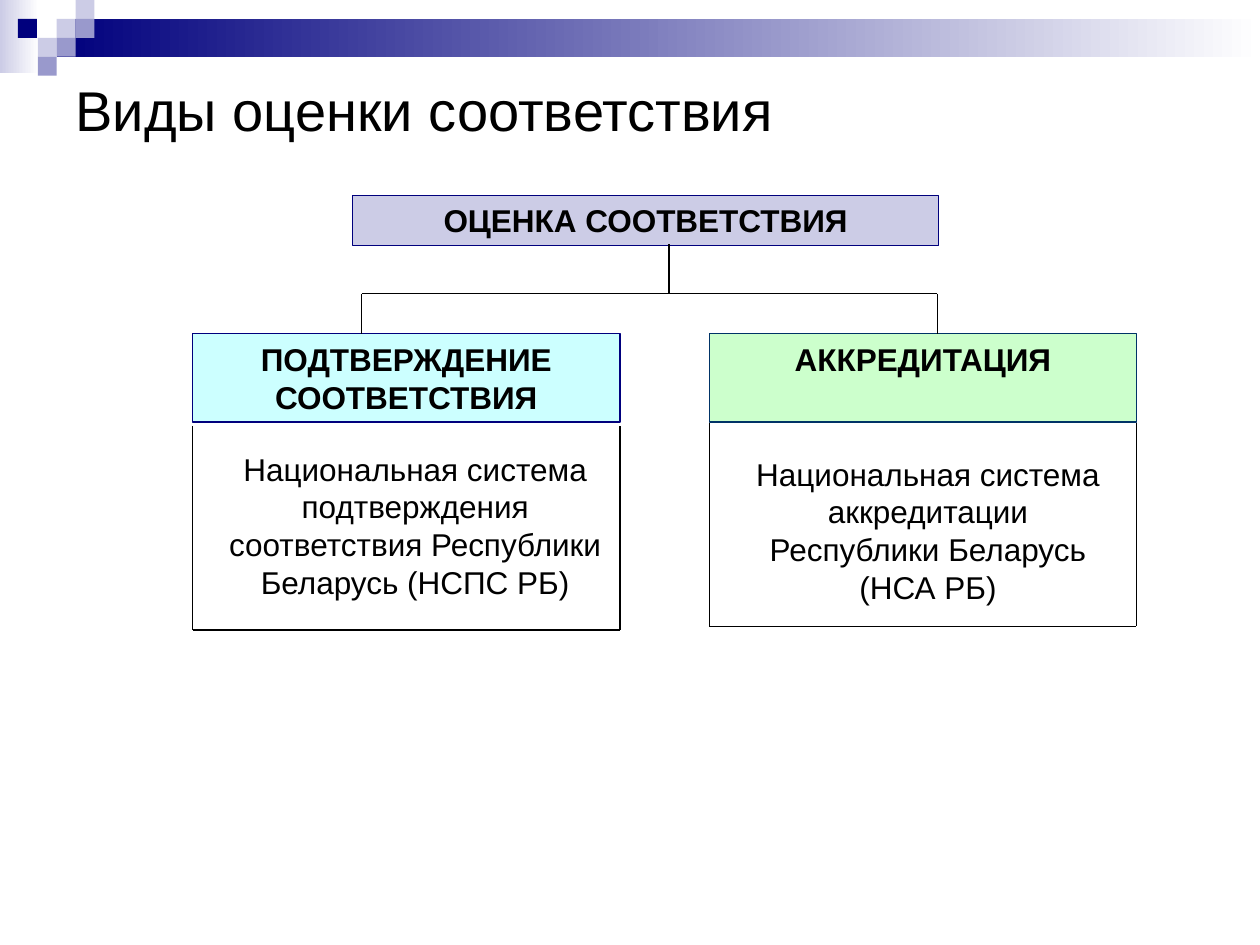
from pptx import Presentation
from pptx.dml.color import RGBColor
from pptx.enum.shapes import MSO_CONNECTOR, MSO_SHAPE
from pptx.enum.text import MSO_ANCHOR, PP_ALIGN
from pptx.oxml.ns import qn
from pptx.util import Inches, Pt
from lxml import etree

RECTANGLE = MSO_SHAPE.RECTANGLE
STRAIGHT = MSO_CONNECTOR.STRAIGHT
TOP, MIDDLE = MSO_ANCHOR.TOP, MSO_ANCHOR.MIDDLE
LEFT, CENTER = PP_ALIGN.LEFT, PP_ALIGN.CENTER

NAVY = RGBColor(0x00, 0x00, 0x7D)
TEAL = RGBColor(0x00, 0x33, 0x66)
LAVENDER = RGBColor(0xCC, 0xCC, 0xE6)
VIOLET = RGBColor(0x99, 0x99, 0xCC)
CYAN = RGBColor(0xCC, 0xFF, 0xFF)
GREEN = RGBColor(0xCC, 0xFF, 0xCC)
WHITE = RGBColor(0xFF, 0xFF, 0xFF)
BLACK = RGBColor(0x00, 0x00, 0x00)
LINE_WIDTH = Pt(0.74)

deck = Presentation()
deck.slide_width, deck.slide_height = Inches(10), Inches(7.5)
page = deck.slides.add_slide(deck.slide_layouts[5])


def add_rectangle(left, top, width, height):
    box = page.shapes.add_shape(RECTANGLE, *map(Inches, (left, top, width, height)))
    box.shadow.inherit = False
    box.line.fill.background()
    return box


def write(box, text, size, bold=False, align=CENTER, anchor=TOP):
    frame = box.text_frame
    frame.word_wrap = True
    frame.vertical_anchor = anchor
    para = frame.paragraphs[0]
    para.alignment = align
    span = para.add_run()
    span.text = text
    for name, value in {"name": "Arial", "size": Pt(size), "bold": bold}.items():
        setattr(span.font, name, value)
    span.font.color.rgb = BLACK


# Gradient bands along the top
for place, color in (((0, 0, 0.31, 0.58), LAVENDER), ((0.45, 0.15, 9.55, 0.3), NAVY)):
    band = add_rectangle(*place)
    band.fill.gradient()
    band.fill.gradient_angle = 0
    for stop, shade in zip(band.fill.gradient_stops, (color, WHITE)):
        stop.color.rgb = shade

# Corner squares by column and row
SQUARE = 0.15
for column, row, color in (
    (3, 1, LAVENDER), (4, 0, LAVENDER), (4, 1, VIOLET), (2, 2, LAVENDER),
    (0.95, 1, NAVY), (3, 2, VIOLET), (2, 3, VIOLET),
):
    square = add_rectangle(column * SQUARE, row * SQUARE, SQUARE, SQUARE)
    square.fill.solid()
    square.fill.fore_color.rgb = color

# Title
title = page.shapes.title
title.left, title.top, title.width, title.height = map(Inches, (0.5, 0.5, 9, 0.73))
write(title, "Виды оценки соответствия", 32, align=LEFT, anchor=MIDDLE)

# Heading boxes
for text, place, color, border in (
    ("ОЦЕНКА СООТВЕТСТВИЯ", (2.8, 1.55, 4.65, 0.4), LAVENDER, NAVY),
    ("ПОДТВЕРЖДЕНИЕ СООТВЕТСТВИЯ", (1.53, 2.65, 3.39, 0.7), CYAN, NAVY),
    ("АККРЕДИТАЦИЯ", (5.63, 2.65, 3.39, 0.7), GREEN, TEAL),
):
    heading = add_rectangle(*place)
    heading.fill.solid()
    heading.fill.fore_color.rgb = color
    heading.line.color.rgb = border
    heading.line.width = LINE_WIDTH
    write(heading, text, 18, bold=True)

# Branch lines, then the open frames under the two headings
lines = [
    (2.87, 2.33, 7.44, 2.33),
    (2.87, 2.65, 2.87, 2.33),
    (7.44, 2.33, 7.44, 2.65),
    (5.31, 1.94, 5.31, 2.33),
]
for left, top, bottom in ((1.53, 3.38, 5), (5.63, 3.36, 4.97)):
    right = left + 3.39
    lines += [
        (left, top, left, bottom),
        (left, bottom, right, bottom),
        (right, top, right, bottom),
    ]
for ends in lines:
    line = page.shapes.add_connector(STRAIGHT, *map(Inches, ends))
    line.line.color.rgb = BLACK
    line.line.width = LINE_WIDTH
    etree.SubElement(line._element.spPr, qn("a:effectLst"))

# Descriptions inside the frames
for text, place in (
    ("Национальная система подтверждения соответствия Республики Беларусь (НСПС РБ)",
     (1.64, 3.52, 3.31, 1.3)),
    ("Национальная система аккредитации Республики Беларусь (НСА РБ)",
     (5.79, 3.56, 3.15, 1.3)),
):
    description = page.shapes.add_textbox(*map(Inches, place))
    write(description, text, 18)

deck.save("out.pptx")
